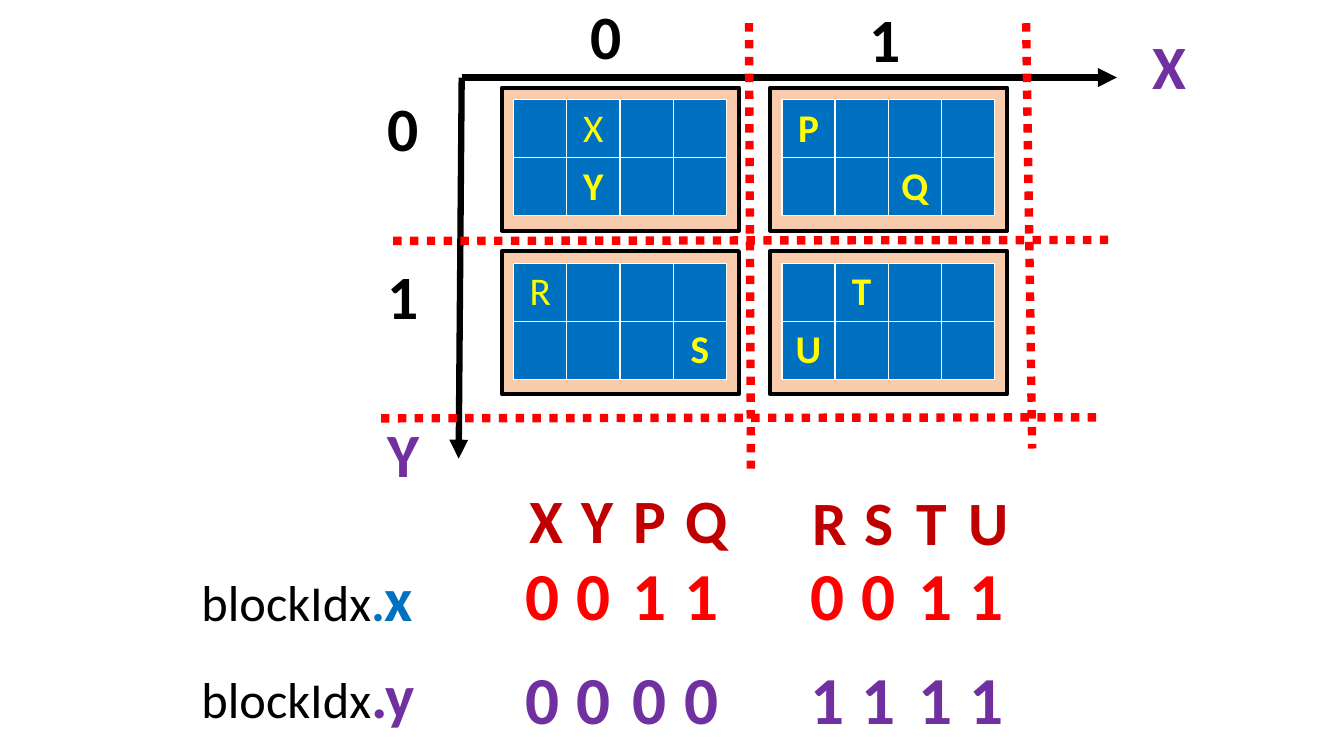
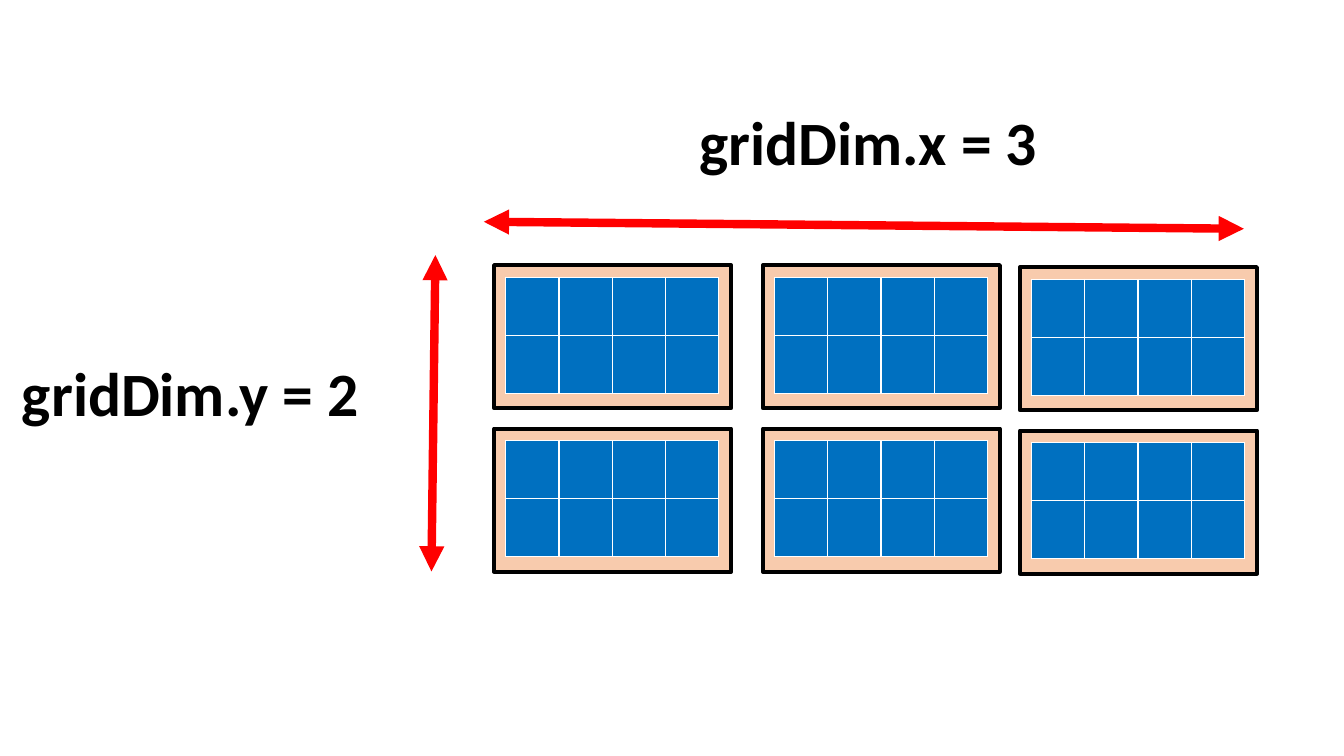
from lxml.etree import SubElement
from pptx import Presentation
from pptx.dml.color import RGBColor
from pptx.enum.dml import MSO_LINE_DASH_STYLE as Dash
from pptx.enum.shapes import MSO_CONNECTOR as Connector, MSO_SHAPE as Shape
from pptx.enum.text import MSO_ANCHOR as Anchor, PP_ALIGN as Align
from pptx.oxml.ns import qn
from pptx.util import Pt

# Shared look
FONT = "Calibri"
BLACK = RGBColor(0x00, 0x00, 0x00)
WHITE = RGBColor(0xFF, 0xFF, 0xFF)
PEACH = RGBColor(0xF8, 0xCB, 0xAD)
BLUE = RGBColor(0x00, 0x70, 0xC0)
YELLOW = RGBColor(0xFF, 0xFF, 0x00)
RED = RGBColor(0xFF, 0x00, 0x00)
DARK_RED = RGBColor(0xC0, 0x00, 0x00)
PURPLE = RGBColor(0x70, 0x30, 0xA0)

# Thread block geometry, in points
BLOCK_W, BLOCK_H = 169.2, 102.2
BLOCK_STEP_Y = 116.8
THREAD_W, THREAD_H = 38, 41.4
INSET_X, INSET_Y = 8.3, 8.7
EMPTY = "-"
EMPTY_BLOCK = (EMPTY * 4, EMPTY * 4)
REGULAR_THREADS = "XR"

# Offsets of the four columns in a group of the index table
LETTER_OFFSETS = (0, 37.2, 74.4, 111.6)
DIGIT_OFFSETS = (0, 36.8, 77, 113.8)


def style_run(run, size, color, bold):
    run.font.name = FONT
    run.font.size = Pt(size)
    run.font.bold = bold
    run.font.color.rgb = color


def add_label(slide, left, top, width, height, runs):
    """Add a text box; each run is (text, size, color, bold)."""
    box = slide.shapes.add_textbox(Pt(left), Pt(top), Pt(width), Pt(height))
    box.text_frame.word_wrap = True
    paragraph = box.text_frame.paragraphs[0]
    for text, size, color, bold in runs:
        run = paragraph.add_run()
        run.text = text
        style_run(run, size, color, bold)


def add_heading(slide, left, top, width, text, color=BLACK):
    add_label(slide, left, top, width, 60.5, [(text, 44, color, True)])


def add_index_row(slide, left, top, offsets, symbols, size, color):
    for offset, symbol in zip(offsets, symbols):
        add_label(slide, left + offset, top, 25.2, size * 1.37,
                  [(symbol, size, color, True)])


def add_line(slide, start, end, color, width, dash=None, arrows=()):
    """Add a straight line; arrows lists its pointed ends (headEnd, tailEnd)."""
    x1, y1, x2, y2 = (Pt(value) for value in (*start, *end))
    connector = slide.shapes.add_connector(Connector.STRAIGHT, x1, y1, x2, y2)
    connector.line.color.rgb = color
    connector.line.width = Pt(width)
    if dash:
        connector.line.dash_style = dash
    properties = connector._element.spPr
    outline = properties.find(qn("a:ln"))
    for arrow in arrows:
        SubElement(outline, qn(f"a:{arrow}"), type="triangle")
    SubElement(properties, qn("a:effectLst"))


def style_cell(cell):
    properties = cell._tc.get_or_add_tcPr()
    for side in ("lnL", "lnR", "lnT", "lnB"):
        border = SubElement(properties, qn(f"a:{side}"), w=str(Pt(1)))
        fill = SubElement(border, qn("a:solidFill"))
        SubElement(fill, qn("a:srgbClr"), val=str(WHITE))
    cell.fill.solid()
    cell.fill.fore_color.rgb = BLUE
    cell.vertical_anchor = Anchor.MIDDLE


def add_thread_row(slide, left, top, threads):
    table = slide.shapes.add_table(
        1, len(threads), Pt(left), Pt(top),
        Pt(THREAD_W * len(threads)), Pt(THREAD_H)).table
    table.first_row = False
    table.horz_banding = False
    for column, thread in enumerate(threads):
        cell = table.cell(0, column)
        style_cell(cell)
        if thread != EMPTY:
            paragraph = cell.text_frame.paragraphs[0]
            paragraph.alignment = Align.CENTER
            run = paragraph.add_run()
            run.text = thread
            style_run(run, 28, YELLOW, thread not in REGULAR_THREADS)


def add_block(slide, left, top, thread_rows=EMPTY_BLOCK):
    frame = slide.shapes.add_shape(
        Shape.RECTANGLE, Pt(left), Pt(top), Pt(BLOCK_W), Pt(BLOCK_H))
    frame.shadow.inherit = False
    frame.fill.solid()
    frame.fill.fore_color.rgb = PEACH
    frame.line.color.rgb = BLACK
    frame.line.width = Pt(3)
    for row, threads in enumerate(thread_rows):
        add_thread_row(slide, left + INSET_X, top + INSET_Y + row * THREAD_H, threads)


def build_block_index(slide):
    # Grid of blocks with marked threads
    grid = (
        (("-X--", "-Y--"), ("P---", "--Q-")),
        (("R---", "---S"), ("-T--", "U---")),
    )
    for row, blocks in enumerate(grid):
        for left, thread_rows in zip((358.6, 550.2), blocks):
            add_block(slide, left, 62.6 + row * BLOCK_STEP_Y, thread_rows)

    # Index table: one group of columns per row of blocks
    groups = (
        ("XYPQ", 371, 340.6, 368, "0011", "0000"),
        ("RSTU", 573.1, 342, 571.8, "0011", "1111"),
    )
    for letters, letter_left, letter_top, digit_left, x_digits, y_digits in groups:
        add_index_row(slide, letter_left, letter_top, LETTER_OFFSETS, letters, 44, DARK_RED)
        add_index_row(slide, digit_left, 391.7, DIGIT_OFFSETS, x_digits, 48, RED)
        add_index_row(slide, digit_left, 465.8, DIGIT_OFFSETS, y_digits, 48, PURPLE)
    name = ("blockIdx", 36, BLACK, False)
    add_label(slide, 136.8, 396.7, 209.5, 60.5,
              [name, (".", 36, BLUE, True), ("x", 44, BLUE, True)])
    add_label(slide, 136.8, 465.8, 209.5, 60.5, [name, (".y", 44, PURPLE, True)])

    # Axes and block boundaries
    origin = (329.8, 55.4)
    for end in ((797.8, 55.4), (327.6, 327.6)):
        add_line(slide, origin, end, BLACK, 4.5, arrows=("tailEnd",))
    boundaries = (
        ((535, 16.6), (536.4, 334.8)),
        ((280.8, 172.1), (792, 171.4)),
        ((733, 16.6), (737.3, 320.4)),
        ((272.2, 298.8), (783.4, 298.1)),
    )
    for start, end in boundaries:
        add_line(slide, start, end, RED, 6, dash=Dash.ROUND_DOT)

    # Axis names and block numbers
    add_heading(slide, 815.8, 16.6, 73.4, "X", PURPLE)
    add_heading(slide, 270, 293.8, 73.4, "Y", PURPLE)
    numbers = ((414.7, -5, "0"), (614.2, -2.9, "1"), (270, 60.5, "0"), (270, 180.7, "1"))
    for left, top, number in numbers:
        add_heading(slide, left, top, 56.2, number)


def build_grid_dimensions(slide):
    # Grid of three by two blocks
    for left, top in ((353, 189.4), (545, 189.4), (728.6, 190.8)):
        for row in range(2):
            add_block(slide, left, top + row * BLOCK_STEP_Y)

    # Dimensions
    both_ends = ("headEnd", "tailEnd")
    add_line(slide, (345.6, 158.4), (888.5, 163.4), RED, 6, arrows=both_ends)
    add_line(slide, (311, 182.2), (308.2, 408.2), RED, 6, arrows=both_ends)
    add_heading(slide, 492.5, 70.6, 296, "gridDim.x = 3")
    add_heading(slide, 8.6, 249.8, 287.3, "gridDim.y = 2")


def main():
    presentation = Presentation()
    presentation.slide_width = Pt(960)
    presentation.slide_height = Pt(540)
    blank = presentation.slide_layouts[6]
    for build in (build_block_index, build_grid_dimensions):
        build(presentation.slides.add_slide(blank))
    presentation.save("out.pptx")


if __name__ == "__main__":
    main()
